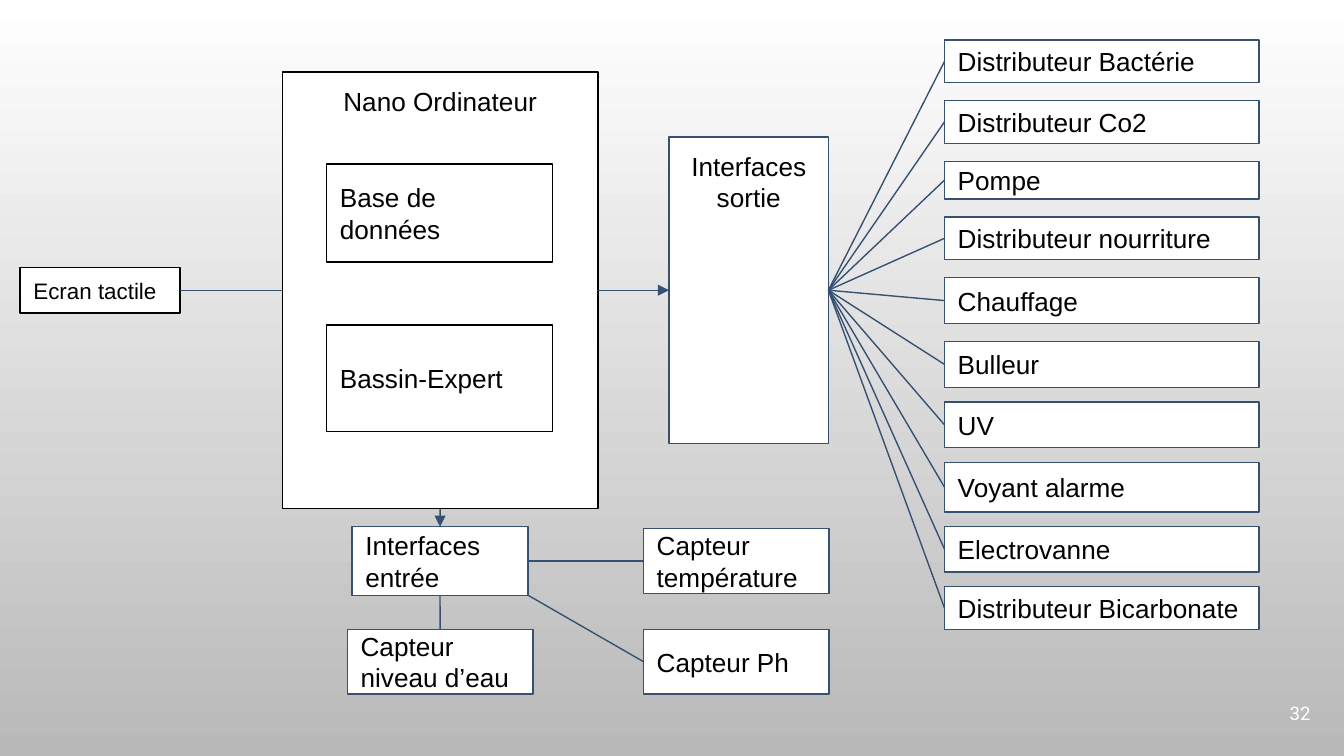
from lxml import etree
from pptx import Presentation
from pptx import util as u
from pptx.dml.color import RGBColor
from pptx.enum import shapes, text
from pptx.oxml import ns

Pt = u.Pt
BLACK = RGBColor(0x00, 0x00, 0x00)
WHITE = RGBColor(0xFF, 0xFF, 0xFF)
GREY = RGBColor(0xB9, 0xB9, 0xB9)
BLUE = RGBColor(0x35, 0x50, 0x71)
TOP, LEFT, BOTTOM, RIGHT = range(4)  # connection sites of a rectangle

deck = Presentation()
deck.slide_width, deck.slide_height = Pt(720), Pt(405)
page = deck.slides.add_slide(deck.slide_layouts[6])

background = page.background.fill
background.gradient()
background.gradient_angle = 270
for stop, color in zip(background.gradient_stops, (WHITE, GREY)):
    stop.color.rgb = color


def add_box(label, left, top, width, height, outline=BLUE, size=14, heading=False):
    """Add a white labelled box; a heading sits centred at the top."""
    box = page.shapes.add_shape(
        shapes.MSO_SHAPE.RECTANGLE, Pt(left), Pt(top), Pt(width), Pt(height))
    box.shadow.inherit = False
    box.fill.solid()
    box.fill.fore_color.rgb = WHITE
    box.line.color.rgb = outline
    box.line.width = Pt(0.75)
    frame = box.text_frame
    frame.word_wrap = True
    frame.margin_left = frame.margin_right = Pt(7.2)
    frame.margin_top = frame.margin_bottom = Pt(7.2)
    frame.vertical_anchor = text.MSO_ANCHOR.TOP if heading else text.MSO_ANCHOR.MIDDLE
    para = frame.paragraphs[0]
    para.text = label
    para.alignment = text.PP_ALIGN.CENTER if heading else text.PP_ALIGN.LEFT
    para.font.name = "Arial"
    para.font.size = Pt(size)
    para.font.color.rgb = BLACK
    return box


def add_link(start, start_site, end, end_site, arrow=False):
    """Join two boxes; a start_site of None means the lower right corner."""
    link = page.shapes.add_connector(
        shapes.MSO_CONNECTOR.STRAIGHT,
        start.left + start.width, start.top + start.height, end.left, end.top)
    if start_site is not None:
        link.begin_connect(start, start_site)
    link.end_connect(end, end_site)
    link.line.color.rgb = BLUE
    link.line.width = Pt(0.75)
    if arrow:
        etree.SubElement(link.line._get_or_add_ln(), ns.qn("a:tailEnd"), type="triangle")
    etree.SubElement(link._element.spPr, ns.qn("a:effectLst"))


# Central units
screen = add_box("Ecran tactile", 10.8, 143.25, 85.7, 24.5, BLACK, size=12)
computer = add_box("Nano Ordinateur", 151.2, 38.5, 169.2, 234, BLACK, heading=True)
output_unit = add_box("Interfaces sortie", 358.4, 73.4, 85.4, 164.2, heading=True)
add_box("Base de données", 175, 87.8, 121, 52.6, BLACK)
add_box("Bassin-Expert", 175, 174.2, 121, 56.9, BLACK)
add_link(screen, RIGHT, computer, LEFT)
add_link(computer, RIGHT, output_unit, LEFT, arrow=True)

# Output devices: label, top, height
devices = [
    ("Distributeur Bactérie", 21.4, 23),
    ("Distributeur Co2", 53.8, 23),
    ("Pompe", 86.4, 20.2),
    ("Distributeur nourriture", 116.2, 23),
    ("Chauffage", 148.8, 24.5),
    ("Bulleur", 183, 24.5),
    ("UV", 215.4, 24.5),
    ("Voyant alarme", 247.7, 26.6),
    ("Electrovanne", 282, 24.5),
    ("Distributeur Bicarbonate", 314.3, 23),
]
for label, top, height in devices:
    device = add_box(label, 506, top, 168.5, height)
    add_link(output_unit, RIGHT, device, LEFT)

# Input unit and its sensors
input_unit = add_box("Interfaces entrée", 188.6, 282.2, 94.3, 36.7)
temperature = add_box("Capteur température", 344.7, 283.25, 99.4, 34.6)
acidity = add_box("Capteur Ph", 344.7, 337.2, 99.4, 34.6)
water_level = add_box("Capteur niveau d’eau", 186.1, 337.2, 99.4, 34.6)
add_link(computer, BOTTOM, input_unit, TOP, arrow=True)
add_link(input_unit, RIGHT, temperature, LEFT)
add_link(input_unit, BOTTOM, water_level, TOP)
add_link(input_unit, None, acidity, LEFT)

# Page number
number = page.shapes.add_textbox(Pt(666), Pt(366.5), Pt(43.2), Pt(31)).text_frame
number.word_wrap = True
number.margin_left = number.margin_right = Pt(7.2)
number.margin_top = number.margin_bottom = Pt(7.2)
number.vertical_anchor = text.MSO_ANCHOR.MIDDLE
para = number.paragraphs[0]
para.text = "32"
para.alignment = text.PP_ALIGN.RIGHT
para.font.name = "Roboto"
para.font.size = Pt(10)
para.font.color.rgb = WHITE

deck.save("out.pptx")
